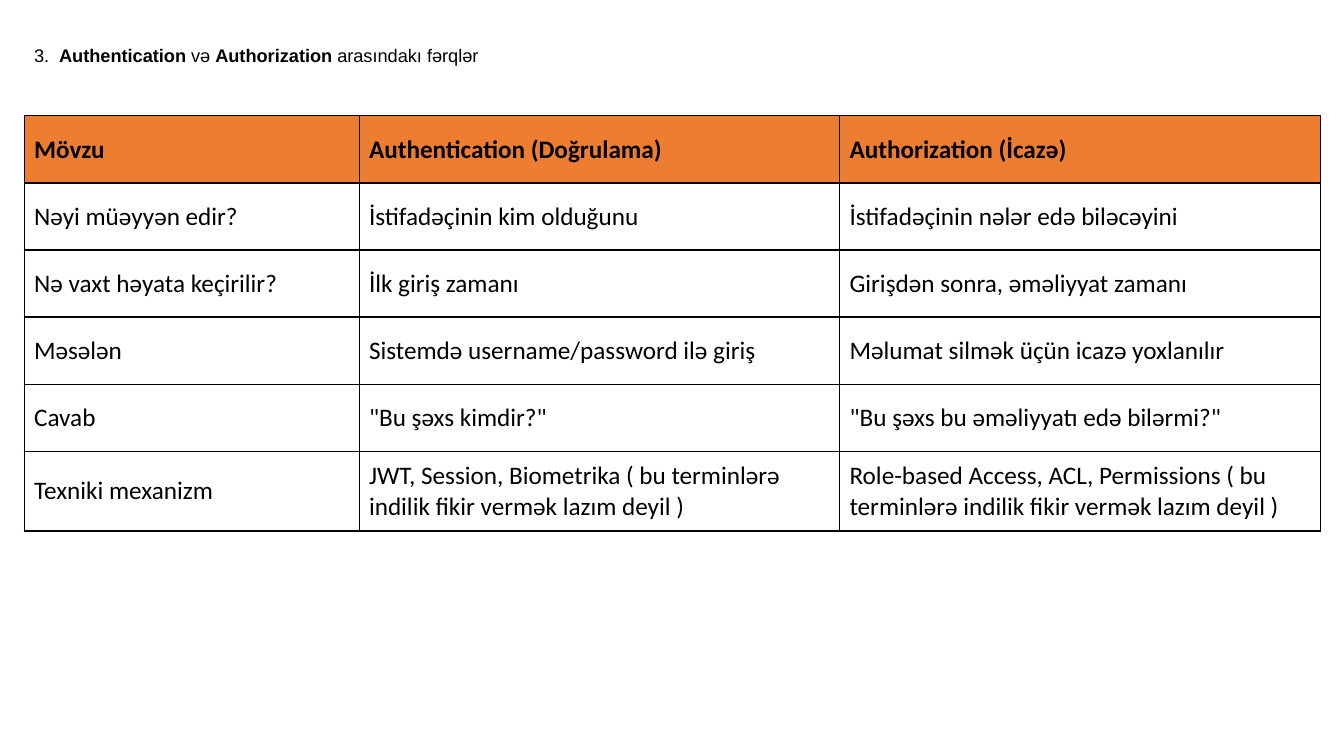
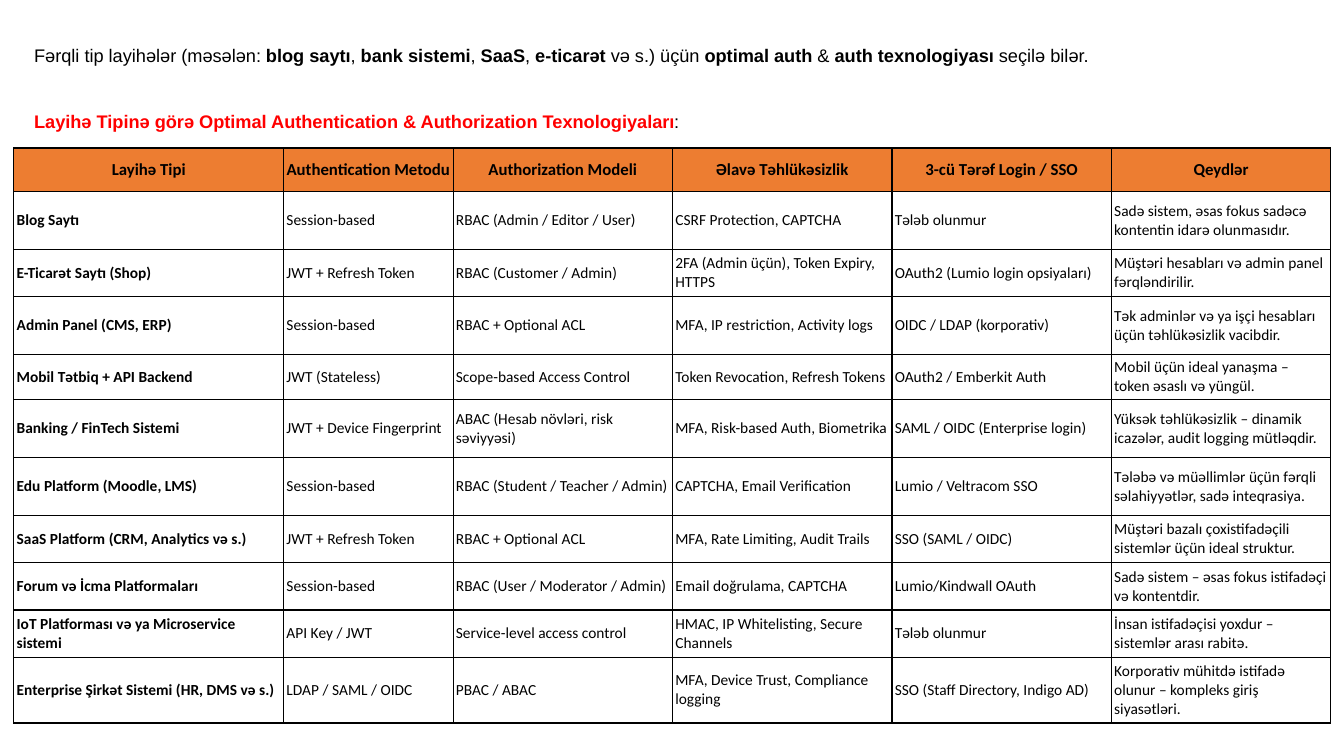
from dataclasses import dataclass

from pptx import Presentation
from pptx.dml.color import RGBColor as RGB
from pptx.enum.text import MSO_ANCHOR as ANCHOR, MSO_AUTO_SIZE as FIT, PP_ALIGN as ALIGN
from pptx.oxml.xmlchemy import OxmlElement as Element
from pptx.util import Cm, Pt


@dataclass(frozen=True)
class Theme:
    """Colours, fonts and type sizes shared by the slides."""
    ink: RGB = RGB(0x00, 0x00, 0x00)
    accent: RGB = RGB(0xED, 0x7D, 0x31)
    alert: RGB = RGB(0xFF, 0x00, 0x00)
    border_pt: float = 1
    text_font: str = "Arial"
    table_font: str = "Calibri"
    text_size: float = 13
    text_spacing: float = 1.5
    paragraph_gap: float = 24


@dataclass(frozen=True)
class TableStyle:
    """Type sizes, insets and emphasis of one table."""
    head_size: float
    body_size: float
    inset_x: float = 0.25
    inset_y: float = 0.13
    head_align: ALIGN = ALIGN.LEFT
    bold_labels: bool = False


THEME = Theme()
LARGE = TableStyle(18, 18)
COMPACT = TableStyle(12, 11, 0.07, 0.05, ALIGN.CENTER, True)

DIFFERENCES = [
    ("Mövzu", "Authentication (Doğrulama)", "Authorization (İcazə)"),
    ("Nəyi müəyyən edir?", "İstifadəçinin kim olduğunu",
     "İstifadəçinin nələr edə biləcəyini"),
    ("Nə vaxt həyata keçirilir?", "İlk giriş zamanı",
     "Girişdən sonra, əməliyyat zamanı"),
    ("Məsələn", "Sistemdə username/password ilə giriş",
     "Məlumat silmək üçün icazə yoxlanılır"),
    ("Cavab", '"Bu şəxs kimdir?"', '"Bu şəxs bu əməliyyatı edə bilərmi?"'),
    ("Texniki mexanizm",
     "JWT, Session, Biometrika ( bu terminlərə indilik fikir vermək lazım deyil )",
     "Role-based Access, ACL, Permissions ( bu terminlərə indilik fikir vermək lazım deyil )"),
]

TECHNOLOGIES = [
    ("Layihə Tipi", "Authentication Metodu", "Authorization Modeli",
     "Əlavə Təhlükəsizlik", "3-cü Tərəf Login / SSO", "Qeydlər"),
    ("Blog Saytı", "Session-based", "RBAC (Admin / Editor / User)",
     "CSRF Protection, CAPTCHA", "Tələb olunmur",
     "Sadə sistem, əsas fokus sadəcə kontentin idarə olunmasıdır."),
    ("E-Ticarət Saytı (Shop)", "JWT + Refresh Token", "RBAC (Customer / Admin)",
     "2FA (Admin üçün), Token Expiry, HTTPS", "OAuth2 (Lumio login opsiyaları)",
     "Müştəri hesabları və admin panel fərqləndirilir."),
    ("Admin Panel (CMS, ERP)", "Session-based", "RBAC + Optional ACL",
     "MFA, IP restriction, Activity logs", "OIDC / LDAP (korporativ)",
     "Tək adminlər və ya işçi hesabları üçün təhlükəsizlik vacibdir."),
    ("Mobil Tətbiq + API Backend", "JWT (Stateless)", "Scope-based Access Control",
     "Token Revocation, Refresh Tokens", "OAuth2 / Emberkit Auth",
     "Mobil üçün ideal yanaşma – token əsaslı və yüngül."),
    ("Banking / FinTech Sistemi", "JWT + Device Fingerprint",
     "ABAC (Hesab növləri, risk səviyyəsi)",
     "MFA, Risk-based Auth, Biometrika", "SAML / OIDC (Enterprise login)",
     "Yüksək təhlükəsizlik – dinamik icazələr, audit logging mütləqdir."),
    ("Edu Platform (Moodle, LMS)", "Session-based", "RBAC (Student / Teacher / Admin)",
     "CAPTCHA, Email Verification", "Lumio / Veltracom SSO",
     "Tələbə və müəllimlər üçün fərqli səlahiyyətlər, sadə inteqrasiya."),
    ("SaaS Platform (CRM, Analytics və s.)", "JWT + Refresh Token", "RBAC + Optional ACL",
     "MFA, Rate Limiting, Audit Trails", "SSO (SAML / OIDC)",
     "Müştəri bazalı çoxistifadəçili sistemlər üçün ideal struktur."),
    ("Forum və İcma Platformaları", "Session-based", "RBAC (User / Moderator / Admin)",
     "Email doğrulama, CAPTCHA", "Lumio/Kindwall OAuth",
     "Sadə sistem – əsas fokus istifadəçi və kontentdir."),
    ("IoT Platforması və ya Microservice sistemi", "API Key / JWT",
     "Service-level access control", "HMAC, IP Whitelisting, Secure Channels",
     "Tələb olunmur", "İnsan istifadəçisi yoxdur – sistemlər arası rabitə."),
    ("Enterprise Şirkət Sistemi (HR, DMS və s.)", "LDAP / SAML / OIDC", "PBAC / ABAC",
     "MFA, Device Trust, Compliance logging", "SSO (Staff Directory, Indigo AD)",
     "Korporativ mühitdə istifadə olunur – kompleks giriş siyasətləri."),
]


def add_run(p, text, font, size, bold=False, color=THEME.ink):
    """Add one formatted run to a paragraph."""
    r = p.add_run()
    r.text = text
    r.font.name, r.font.size, r.font.bold = font, Pt(size), bold
    r.font.color.rgb = color


def add_tab_stop(p, position):
    """Give a paragraph a left tab stop."""
    tabs, tab = Element("a:tabLst"), Element("a:tab")
    tab.set("pos", str(Cm(position)))
    tab.set("algn", "l")
    tabs.append(tab)
    p._p.get_or_add_pPr().append(tabs)


def add_intro(s, height, paragraphs):
    """Add the text above a table and return its paragraphs."""
    sp = s.shapes.add_textbox(Cm(0.61), Cm(0.71), Cm(32.66), Cm(height))
    tf = sp.text_frame
    tf.word_wrap, tf.auto_size = True, FIT.SHAPE_TO_FIT_TEXT
    for i, runs in enumerate(paragraphs):
        p = tf.add_paragraph() if i else tf.paragraphs[0]
        p.line_spacing = THEME.text_spacing
        if i:
            p.space_before = Pt(THEME.paragraph_gap)
        for text, *look in runs:
            add_run(p, text, THEME.text_font, THEME.text_size, *look)
    return tf.paragraphs


def add_borders(cell):
    """Draw a solid line on each side of a cell."""
    tc_pr = cell._tc.get_or_add_tcPr()
    for side in ("a:lnL", "a:lnR", "a:lnT", "a:lnB"):
        ln, fill, color = Element(side), Element("a:solidFill"), Element("a:srgbClr")
        ln.set("w", str(Pt(THEME.border_pt)))
        color.set("val", str(THEME.ink))
        fill.append(color)
        ln.append(fill)
        tc_pr.append(ln)


def fill_cell(cell, text, style, is_head, is_label):
    """Write and format one table cell."""
    add_borders(cell)
    if is_head:
        cell.fill.solid()
        cell.fill.fore_color.rgb = THEME.accent
    else:
        cell.fill.background()
    cell.vertical_anchor = ANCHOR.MIDDLE
    cell.margin_left = cell.margin_right = Cm(style.inset_x)
    cell.margin_top = cell.margin_bottom = Cm(style.inset_y)
    p = cell.text_frame.paragraphs[0]
    p.alignment = style.head_align if is_head else ALIGN.LEFT
    add_run(p, text, THEME.table_font, style.head_size if is_head else style.body_size,
            is_head or (is_label and style.bold_labels))


def add_grid(s, left, top, widths, heights, rows, style):
    """Add a bordered table with a coloured header row."""
    table = s.shapes.add_table(len(heights), len(widths), Cm(left), Cm(top),
                               Cm(sum(widths)), Cm(sum(heights))).table
    table.horz_banding = False
    for column, width in zip(table.columns, widths):
        column.width = Cm(width)
    for i, (height, texts) in enumerate(zip(heights, rows)):
        table.rows[i].height = Cm(height)
        for j, text in enumerate(texts):
            fill_cell(table.cell(i, j), text, style, i == 0, j == 0)


def build_differences(s):
    """Compare authentication with authorization."""
    heading, = add_intro(s, 0.99, [[
        ("3.\t",), ("Authentication", True), (" və ",), ("Authorization", True),
        (" arasındakı fərqlər",),
    ]])
    add_tab_stop(heading, 0.63)
    add_grid(s, 0.61, 2.92, [8.44] + [12.11] * 2, [1.69] * 5 + [2.01], DIFFERENCES, LARGE)


def build_technologies(s):
    """List suitable technologies by project type."""
    add_intro(s, 3.48, [
        [("Fərqli tip layihələr (məsələn: ",), ("blog saytı", True), (", ",),
         ("bank sistemi", True), (", ",), ("SaaS", True), (", ",), ("e-ticarət ", True),
         ("və s.) üçün ",), ("optimal auth", True), (" & ",),
         ("auth texnologiyası ", True), ("seçilə bilər.",)],
        [("Layihə Tipinə görə Optimal Authentication & Authorization Texnologiyaları",
          True, THEME.alert), (":",)],
    ])
    tall, low = 1.46, 1.19
    heights = [1.09, tall, low, tall, 1.14, tall, tall] + [low] * 3 + [1.66]
    add_grid(s, 0.35, 3.73, [6.8, 4.27] + [5.53] * 4, heights, TECHNOLOGIES, COMPACT)


def main():
    """Build and save the presentation."""
    prs = Presentation()
    prs.slide_width, prs.slide_height = Cm(33.87), Cm(19.05)
    for build in (build_differences, build_technologies):
        build(prs.slides.add_slide(prs.slide_layouts[6]))
    prs.save("out.pptx")


if __name__ == "__main__":
    main()
